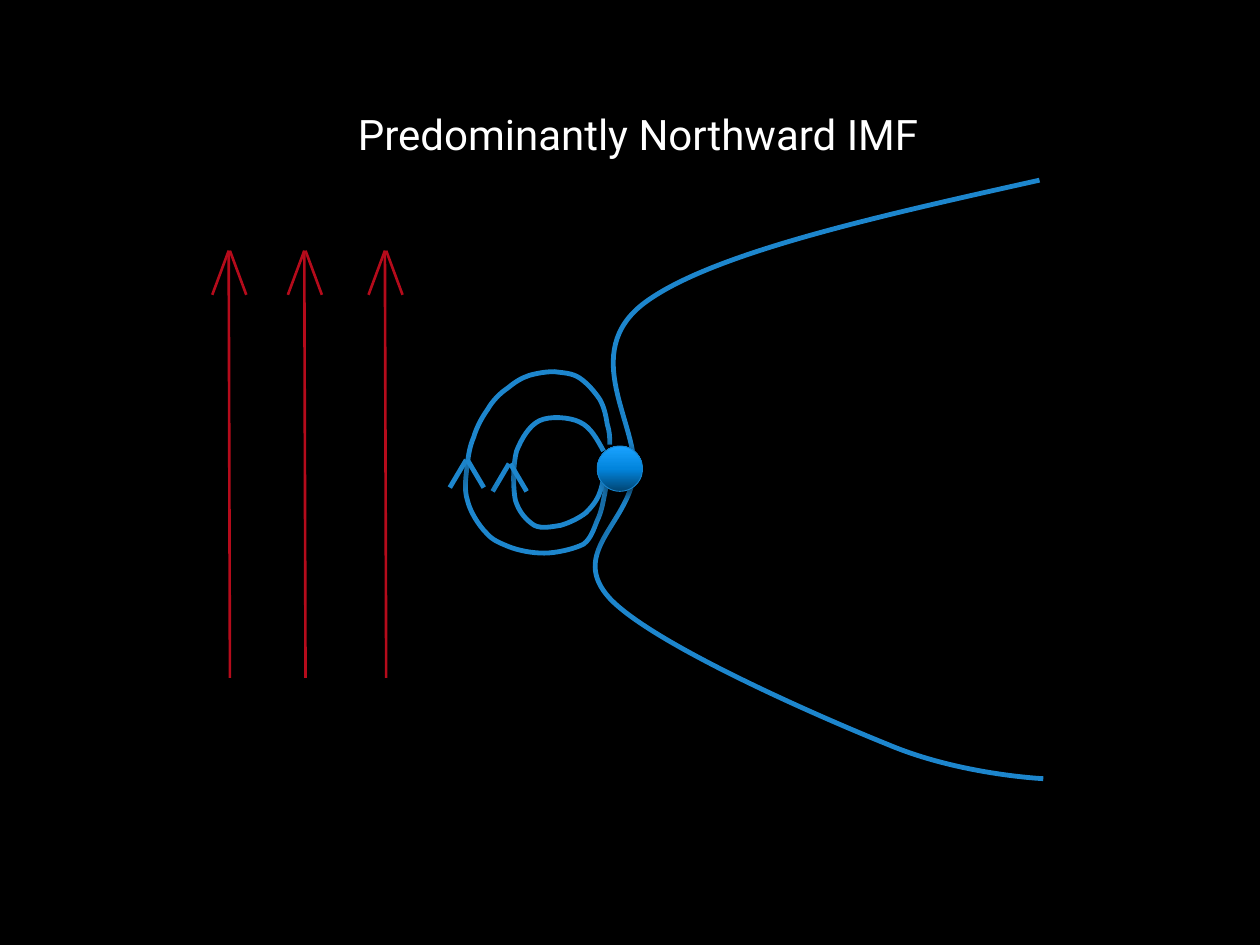
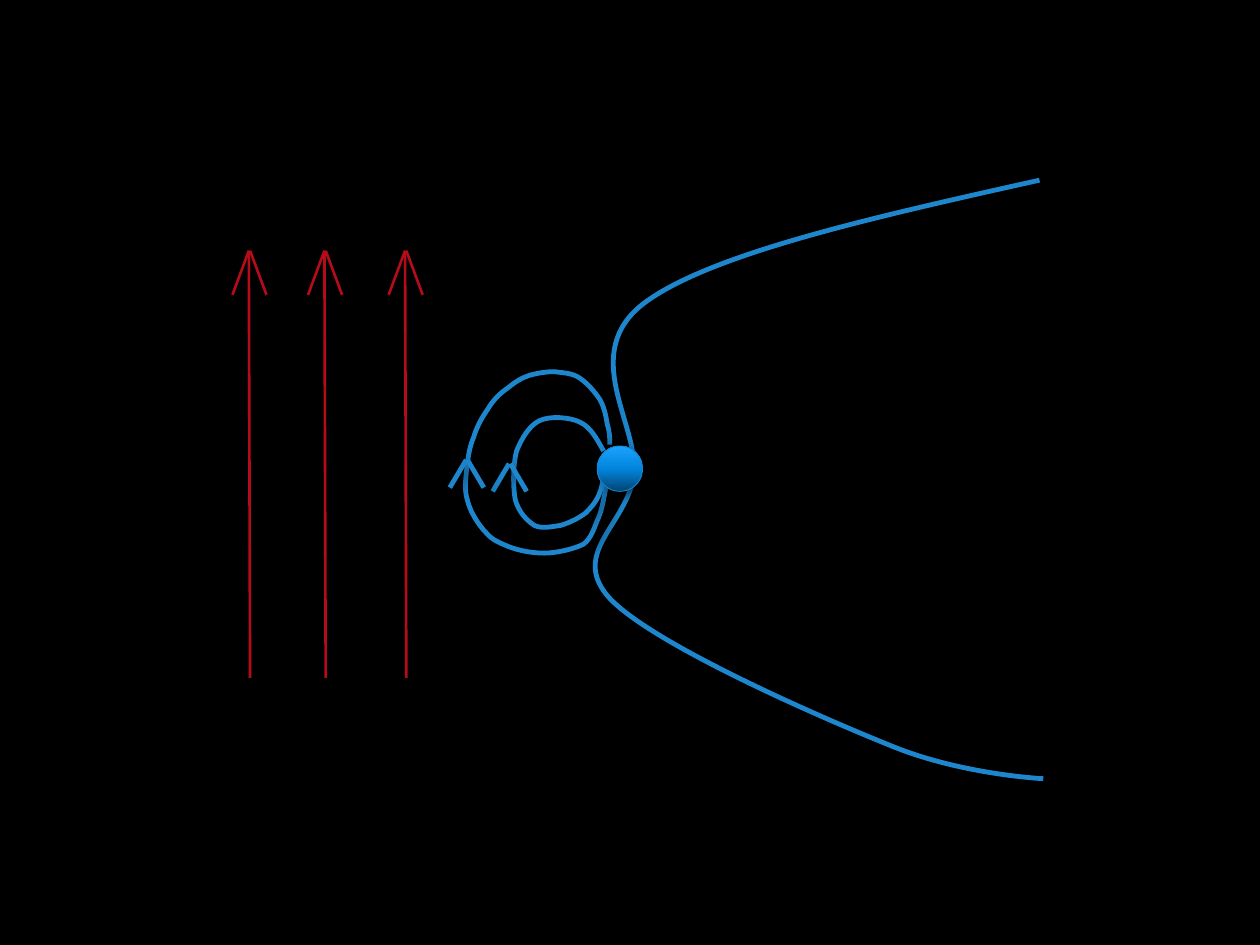
"""Draw the magnetosphere under a northward interplanetary magnetic field."""

import copy
import dataclasses
import typing

import lxml.etree
import pptx
import pptx.dml.color
import pptx.enum.shapes
import pptx.enum.text
import pptx.oxml.ns
import pptx.util

Point = tuple[float, float]
Box = tuple[int, int, int, int]

COLUMNS, ROWS = 1000, 750
SLIDE_WIDTH, SLIDE_HEIGHT = pptx.util.Inches(10), pptx.util.Inches(7.5)


@dataclasses.dataclass(frozen=True)
class Theme:
    """Colours, type and line weights shared by the slides."""

    background: str = "000000"
    text: str = "FFFFFF"
    field: str = "1D86CD"
    solar_wind: str = "B50B1B"
    planet_edge: str = "1884CD"
    planet_stops: tuple[tuple[float, str], ...] = (
        (0, "014573"),
        (0.5, "0285DD"),
        (1, "1AA3FF"),
    )
    font: str = "Roboto"
    title_size: float = 24
    field_weight: float = 2.75
    wind_weight: float = 1.5
    edge_weight: float = 0.5
    shadow_blur: float = 7
    shadow_distance: float = 4
    shadow_angle: int = 35
    shadow_opacity: int = 55


@dataclasses.dataclass(frozen=True)
class FieldLine:
    """A chain of cubic curves in a box: a start, then two handles and an end each."""

    box: Box
    start: Point
    curves: tuple[tuple[Point, Point, Point], ...]


@dataclasses.dataclass(frozen=True)
class ArrowHead:
    """Two barbs that open downwards from a tip of the given width."""

    tip_left: float
    tip_row: int
    tip_width: int
    reach: int
    drop: int


@dataclasses.dataclass(frozen=True)
class SlideContent:
    """What differs from slide to slide."""

    title: str | None
    wind_shift: int


THEME = Theme()

MAGNETOPAUSE = FieldLine((472, 143, 355, 475), (825, 143), (
    ((695, 172), (565, 201), (512, 240)),
    ((458, 280), (508, 338), (503, 377)),
    ((498, 416), (451, 439), (484, 475)),
    ((518, 511), (648, 568), (705, 591)),
    ((762, 615), (828, 618), (828, 618)),
))
OUTER_LOOP = FieldLine((369, 295, 114, 144), (484, 353), (
    ((484, 348), (484, 343), (482, 337)),
    ((481, 331), (480, 324), (476, 317)),
    ((472, 311), (466, 304), (460, 300)),
    ((454, 296), (447, 296), (440, 295)),
    ((434, 295), (427, 296), (420, 298)),
    ((414, 300), (409, 303), (403, 308)),
    ((397, 312), (391, 318), (387, 325)),
    ((382, 332), (378, 340), (376, 347)),
    ((373, 354), (372, 360), (371, 368)),
    ((370, 377), (368, 388), (371, 397)),
    ((373, 406), (380, 417), (386, 423)),
    ((391, 429), (397, 431), (404, 434)),
    ((412, 437), (422, 439), (432, 439)),
    ((441, 439), (455, 436), (463, 432)),
    ((470, 427), (472, 417), (475, 411)),
    ((478, 404), (479, 396), (480, 392)),
    ((481, 387), (481, 383), (481, 383)),
))
INNER_LOOP = FieldLine((409, 331, 71, 87), (479, 358), (
    ((474, 349), (469, 339), (460, 335)),
    ((452, 331), (436, 330), (428, 334)),
    ((420, 338), (414, 348), (410, 358)),
    ((407, 369), (407, 387), (409, 397)),
    ((412, 407), (418, 413), (424, 417)),
    ((430, 420), (438, 418), (445, 417)),
    ((452, 415), (460, 411), (465, 407)),
    ((470, 402), (474, 397), (476, 391)),
    ((479, 384), (480, 370), (480, 370)),
))
FIELD_LINES = (MAGNETOPAUSE, OUTER_LOOP, INNER_LOOP)
INNER_HEAD = ArrowHead(404, 368, 1, 13, 22)
OUTER_HEAD = ArrowHead(370, 365, 1, 13, 22)
PLANET = (474, 354, 36, 36)
TITLE_BOX = (274, 81, 471, 50)
NEAR_WIND_COLUMN = 305.5
FAR_WIND_COLUMNS = (241.5, 181.5)
WIND_TOP, WIND_BOTTOM = 199, 538
SLIDES = (
    SlideContent("Predominantly Northward IMF", 0),
    SlideContent(None, 16),
)


def column(number: float) -> int:
    """Turn a grid column into a slide length."""
    return round(SLIDE_WIDTH * number / COLUMNS)


def row(number: float) -> int:
    """Turn a grid row into a slide length."""
    return round(SLIDE_HEIGHT * number / ROWS)


def rgb(colour: str) -> pptx.dml.color.RGBColor:
    """Read a hexadecimal colour."""
    return pptx.dml.color.RGBColor.from_string(colour)


def apply_format(target: typing.Any, values: dict[str, typing.Any]) -> None:
    """Set each named attribute on the target."""
    for name, value in values.items():
        setattr(target, name, value)


def place(shape: typing.Any, box: Box) -> None:
    """Move and size a shape on the grid."""
    left, top, width, height = box
    apply_format(shape, {
        "left": column(left), "top": row(top),
        "width": column(width), "height": row(height),
    })


def add_element(parent: typing.Any, tag: str, **attributes: typing.Any) -> typing.Any:
    """Append a drawing element with the given attributes."""
    texts = {name: str(value) for name, value in attributes.items()}
    return lxml.etree.SubElement(parent, pptx.oxml.ns.qn(tag), texts)


def set_effects(shape: typing.Any, shadowed: bool) -> None:
    """Replace the theme's effects with the field shadow or with none."""
    effects = add_element(shape._element.spPr, "a:effectLst")
    if shadowed:
        shadow = add_element(
            effects,
            "a:outerShdw",
            blurRad=pptx.util.Pt(THEME.shadow_blur),
            dist=pptx.util.Pt(THEME.shadow_distance),
            dir=THEME.shadow_angle * 60000,
            algn="tl",
            rotWithShape=0,
        )
        colour = add_element(shadow, "a:srgbClr", val="000000")
        add_element(colour, "a:alpha", val=THEME.shadow_opacity * 1000)


def style_outline(
    shape: typing.Any, colour: str, weight: float, shadowed: bool
) -> None:
    """Give a shape its line and its effects."""
    shape.line.color.rgb = rgb(colour)
    shape.line.width = pptx.util.Pt(weight)
    set_effects(shape, shadowed)


def bend_outline(shape: typing.Any, field_line: FieldLine) -> None:
    """Turn the straight segments of a freeform into cubic curves."""
    left, top, width, height = field_line.box
    outline = shape._element.spPr.find(".//" + pptx.oxml.ns.qn("a:path"))
    for segment in list(outline):
        outline.remove(segment)
    outline.set("w", str(column(width)))
    outline.set("h", str(row(height)))
    steps = [("a:moveTo", (field_line.start,))]
    steps += [("a:cubicBezTo", curve) for curve in field_line.curves]
    for tag, points in steps:
        segment = add_element(outline, tag)
        for x, y in points:
            add_element(segment, "a:pt", x=column(x - left), y=row(y - top))


def draw_field_line(slide: typing.Any, field_line: FieldLine) -> None:
    """Draw one open magnetic field line."""
    start_column, start_row = field_line.start
    builder = slide.shapes.build_freeform(column(start_column), row(start_row))
    ends = [(column(x), row(y)) for *_, (x, y) in field_line.curves]
    builder.add_line_segments(ends, close=False)
    shape = builder.convert_to_shape()
    place(shape, field_line.box)
    bend_outline(shape, field_line)
    shape.fill.background()
    style_outline(shape, THEME.field, THEME.field_weight, True)


def draw_planet(slide: typing.Any) -> None:
    """Draw the planet as a shaded disc."""
    shape = slide.shapes.add_shape(pptx.enum.shapes.MSO_SHAPE.OVAL, 0, 0, 0, 0)
    place(shape, PLANET)
    shape.fill.gradient()
    shape.fill.gradient_angle = 90
    stop_list = shape._element.spPr.find(".//" + pptx.oxml.ns.qn("a:gsLst"))
    stop_list.append(copy.deepcopy(stop_list[0]))
    for stop, (position, colour) in zip(
        shape.fill.gradient_stops, THEME.planet_stops
    ):
        stop.color.rgb = rgb(colour)
        stop.position = position
    style_outline(shape, THEME.planet_edge, THEME.edge_weight, True)


def draw_line(
    parent: typing.Any, begin: Point, end: Point,
    colour: str, weight: float, shadowed: bool,
) -> None:
    """Draw a straight line between two grid points."""
    connector = parent.shapes.add_connector(
        pptx.enum.shapes.MSO_CONNECTOR.STRAIGHT,
        column(begin[0]), row(begin[1]), column(end[0]), row(end[1]),
    )
    style_outline(connector, colour, weight, shadowed)


def draw_head(
    parent: typing.Any, head: ArrowHead, colour: str, weight: float, shadowed: bool
) -> None:
    """Draw the two barbs of an arrow head."""
    tip_right = head.tip_left + head.tip_width
    for tip, reach in ((head.tip_left, -head.reach), (tip_right, head.reach)):
        draw_line(
            parent, (tip, head.tip_row), (tip + reach, head.tip_row + head.drop),
            colour, weight, shadowed,
        )


def draw_wind_arrow(slide: typing.Any, left: float) -> None:
    """Draw one northward arrow of the solar wind field."""
    group = slide.shapes.add_group_shape()
    head = ArrowHead(left, WIND_TOP, 1, 13, 35)
    style = (THEME.solar_wind, THEME.wind_weight, False)
    draw_line(group, (left + 1, WIND_BOTTOM), (left, WIND_TOP), *style)
    draw_head(group, head, *style)


def write_title(slide: typing.Any, text: str) -> None:
    """Place and format the title placeholder."""
    title = slide.shapes.title
    place(title, TITLE_BOX)
    apply_format(title.text_frame, {
        "text": text,
        "word_wrap": True,
        "auto_size": pptx.enum.text.MSO_AUTO_SIZE.SHAPE_TO_FIT_TEXT,
        "vertical_anchor": pptx.enum.text.MSO_ANCHOR.TOP,
    })
    paragraph = title.text_frame.paragraphs[0]
    paragraph.alignment = pptx.enum.text.PP_ALIGN.LEFT
    font = paragraph.runs[0].font
    apply_format(font, {"name": THEME.font, "size": pptx.util.Pt(THEME.title_size)})
    font.color.rgb = rgb(THEME.text)


def build_slide(presentation: typing.Any, content: SlideContent) -> None:
    """Add one slide with the field, the planet and the solar wind."""
    layout_name = "Title Only" if content.title else "Blank"
    layout = presentation.slide_layouts.get_by_name(layout_name)
    slide = presentation.slides.add_slide(layout)
    for field_line in FIELD_LINES:
        draw_field_line(slide, field_line)
    draw_planet(slide)
    draw_wind_arrow(slide, NEAR_WIND_COLUMN + content.wind_shift)
    field_style = (THEME.field, THEME.field_weight, True)
    draw_head(slide, INNER_HEAD, *field_style)
    draw_head(slide.shapes.add_group_shape(), OUTER_HEAD, *field_style)
    for left in FAR_WIND_COLUMNS:
        draw_wind_arrow(slide, left + content.wind_shift)
    if content.title:
        write_title(slide, content.title)


def main() -> None:
    """Build and save the presentation."""
    presentation = pptx.Presentation()
    apply_format(
        presentation, {"slide_width": SLIDE_WIDTH, "slide_height": SLIDE_HEIGHT}
    )
    background = presentation.slide_master.background.fill
    background.solid()
    background.fore_color.rgb = rgb(THEME.background)
    for content in SLIDES:
        build_slide(presentation, content)
    presentation.save("out.pptx")


if __name__ == "__main__":
    main()
